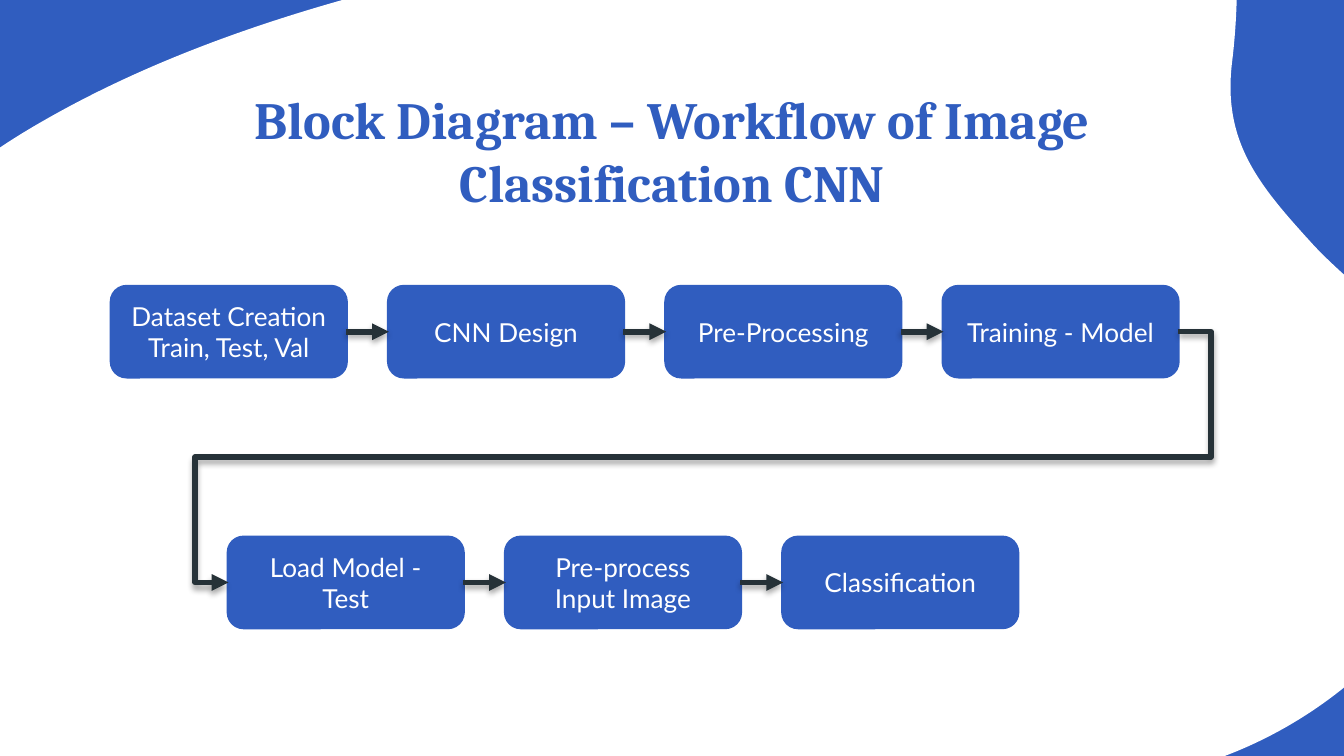
"""Builds the workflow slide of an image classification CNN."""
from itertools import chain, pairwise

from lxml import etree
from pptx import Presentation
from pptx import util as u
from pptx.dml.color import RGBColor
from pptx.enum import shapes, text
from pptx.oxml import parse_xml
from pptx.oxml.ns import nsdecls, qn

BLUE = RGBColor(0x30, 0x5D, 0xBF)
WHITE = RGBColor(0xFF, 0xFF, 0xFF)
DARK = RGBColor(0x26, 0x32, 0x38)

BOX_WIDTH, BOX_HEIGHT, PITCH = 4.43, 1.7, 5.24
LEFT_SITE, RIGHT_SITE = 1, 3

BLOB_START = (20.47, -6.2)
BLOB_CURVES = [
    ((19.58, -6.58), (18.44, -6.71), (16.97, -6.45)),
    ((14.61, -6.05), (12.83, -4.17), (11.56, -2.31)),
    ((10.46, -0.71), (8.41, -0.48), (6.76, -0.08)),
    ((4.72, 0.48), (2.67, 1.22), (0.81, 2.29)),
    ((-3.02, 4.47), (-4.04, 7.39), (-3.73, 11.07)),
    ((-3.63, 12.17), (-3.4, 13.92), (-1.42, 15.9)),
    ((-0.66, 16.64), (0.18, 17.2), (1.07, 17.58)),
    ((3.38, 18.52), (6.17, 18.34), (9.32, 17.27)),
    ((10.34, 16.94), (11.28, 16.46), (12.24, 16.08)),
    ((13.26, 15.65), (14.35, 15.37), (15.44, 15.21)),
    ((17.96, 14.86), (20.62, 15.19), (23.04, 14.33)),
    ((24.31, 13.87), (25.48, 13.08), (26.37, 12.07)),
    ((27.48, 10.77), (27.81, 9.04), (27.18, 7.47)),
    ((26.57, 5.99), (25.7, 5.56), (24.84, 4.65)),
    ((23.8, 3.51), (23.09, 2.69), (23.29, 1.14)),
    ((23.52, -0.79), (23.52, -4.93), BLOB_START),
]


def write_text(frame, content, font="Lato", size=14, color=WHITE, bold=False,
               anchor=text.MSO_ANCHOR.MIDDLE):
    frame.text = content
    frame.word_wrap = True
    frame.auto_size = text.MSO_AUTO_SIZE.NONE
    frame.vertical_anchor = anchor
    for paragraph in frame.paragraphs:
        paragraph.alignment = text.PP_ALIGN.CENTER
        for run in paragraph.runs:
            run.font.name = font
            run.font.size = u.Pt(size)
            run.font.bold = bold
            run.font.color.rgb = color


def bend_segments(freeform):
    segments = list(freeform._element.iter(qn("a:lnTo")))
    for first in range(0, len(segments), 3):
        curve = etree.Element(qn("a:cubicBezTo"))
        segments[first].addprevious(curve)
        for segment in segments[first:first + 3]:
            curve.append(segment[0])
            segment.getparent().remove(segment)


class WorkflowSlide:
    def __init__(self, slide):
        self.slide = slide
        self.fill, self.line = BLUE, DARK

    def background(self):
        fill = self.slide.background.fill
        fill.solid()
        fill.fore_color.rgb = self.fill
        builder = self.slide.shapes.build_freeform(*map(u.Cm, BLOB_START))
        builder.add_line_segments(
            [(u.Cm(x), u.Cm(y)) for x, y in chain.from_iterable(BLOB_CURVES)])
        blob = builder.convert_to_shape()
        bend_segments(blob)
        blob.shadow.inherit = False
        blob.fill.solid()
        blob.fill.fore_color.rgb = WHITE
        blob.line.fill.background()
        self.slide.shapes.title._element.addprevious(blob._element)

    def title(self, content):
        heading = self.slide.shapes.title
        heading.left, heading.top = u.Cm(2.11), u.Cm(1.4)
        heading.width, heading.height = u.Cm(21.18), u.Cm(2.74)
        frame = heading.text_frame
        frame.margin_left = frame.margin_right = u.Cm(0.25)
        frame.margin_top = frame.margin_bottom = u.Cm(0.25)
        write_text(frame, content, font="Cambria", size=28, color=self.fill,
                   bold=True, anchor=text.MSO_ANCHOR.TOP)

    def step(self, content, left, top):
        box = self.slide.shapes.add_shape(
            shapes.MSO_SHAPE.ROUNDED_RECTANGLE, u.Cm(left), u.Cm(top),
            u.Cm(BOX_WIDTH), u.Cm(BOX_HEIGHT))
        box.shadow.inherit = False
        box.fill.solid()
        box.fill.fore_color.rgb = self.fill
        box.line.color.rgb = self.fill
        box.line.width = u.Pt(2)
        write_text(box.text_frame, content)
        return box

    def row(self, labels, left, top):
        return [self.step(label, left + i * PITCH, top)
                for i, label in enumerate(labels)]

    def arrow(self, source, target, kind=shapes.MSO_CONNECTOR.STRAIGHT):
        link = self.slide.shapes.add_connector(kind, 0, 0, 0, 0)
        link.begin_connect(source, RIGHT_SITE)
        link.end_connect(target, LEFT_SITE)
        link.line.color.rgb = self.line
        link.line.width = u.Pt(3)
        properties = link._element.spPr
        etree.SubElement(properties.find(qn("a:ln")), qn("a:tailEnd"), type="triangle")
        properties.append(parse_xml(
            f'<a:effectLst {nsdecls("a")}><a:outerShdw blurRad="40000" dist="23000" '
            'dir="5400000" rotWithShape="0"><a:srgbClr val="000000">'
            '<a:alpha val="35000"/></a:srgbClr></a:outerShdw></a:effectLst>'))
        return link

    def return_arrow(self, source, target):
        link = self.arrow(source, target, shapes.MSO_CONNECTOR.ELBOW)
        geometry = link._element.spPr.find(qn("a:prstGeom"))
        geometry.set("prst", "bentConnector5")
        guides = geometry.get_or_add_avLst()
        for i, value in enumerate((-3500, 50000, 103500), start=1):
            etree.SubElement(guides, qn("a:gd"), name=f"adj{i}", fmla=f"val {value}")


def main():
    deck = Presentation()
    deck.slide_width, deck.slide_height = u.Cm(25.4), u.Cm(14.29)
    workflow = WorkflowSlide(deck.slides.add_slide(deck.slide_layouts[5]))
    workflow.background()
    workflow.title("Block Diagram – Workflow of Image Classification CNN")
    training = workflow.row(
        ["Dataset Creation\nTrain, Test, Val", "CNN Design", "Pre-Processing",
         "Training - Model"], 2.11, 5.42)
    testing = workflow.row(
        ["Load Model - Test", "Pre-process Input Image", "Classification"], 4.32, 10.16)
    for steps in (training, testing):
        for source, target in pairwise(steps):
            workflow.arrow(source, target)
    workflow.return_arrow(training[-1], testing[0])
    deck.save("out.pptx")


if __name__ == "__main__":
    main()
